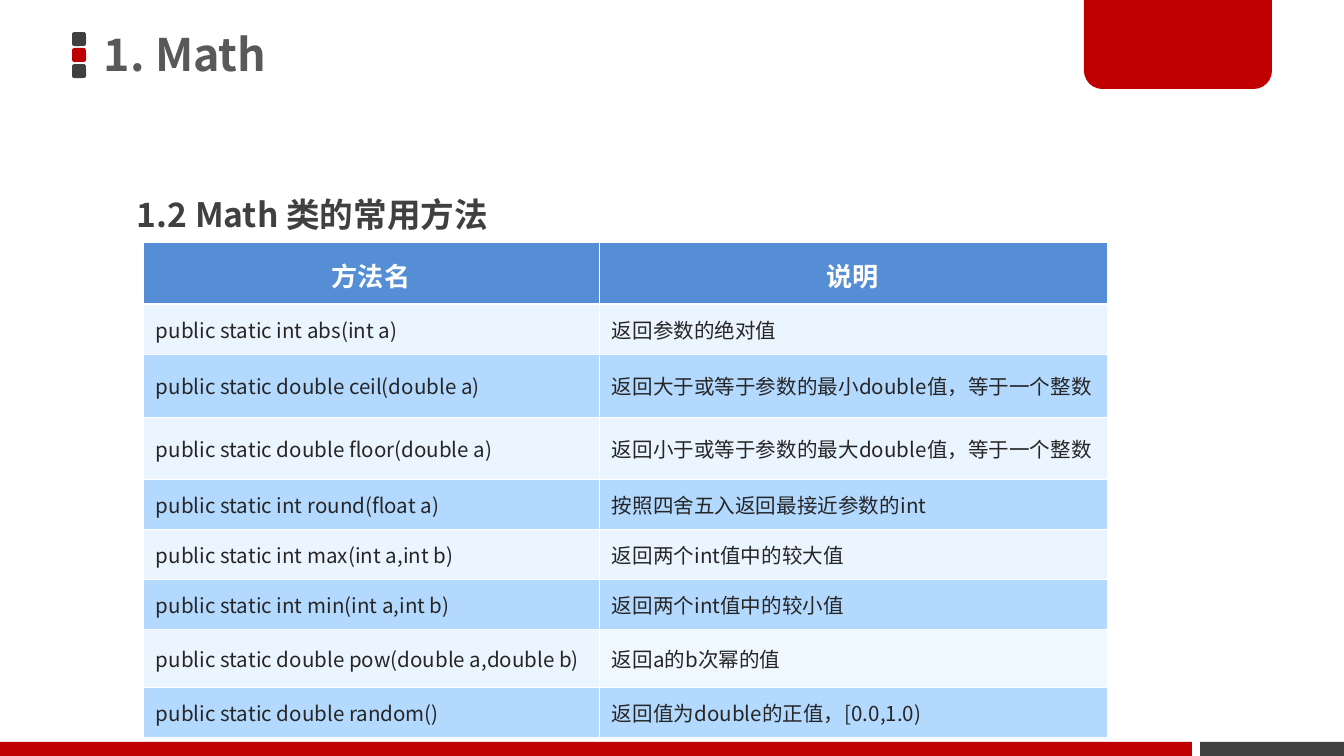
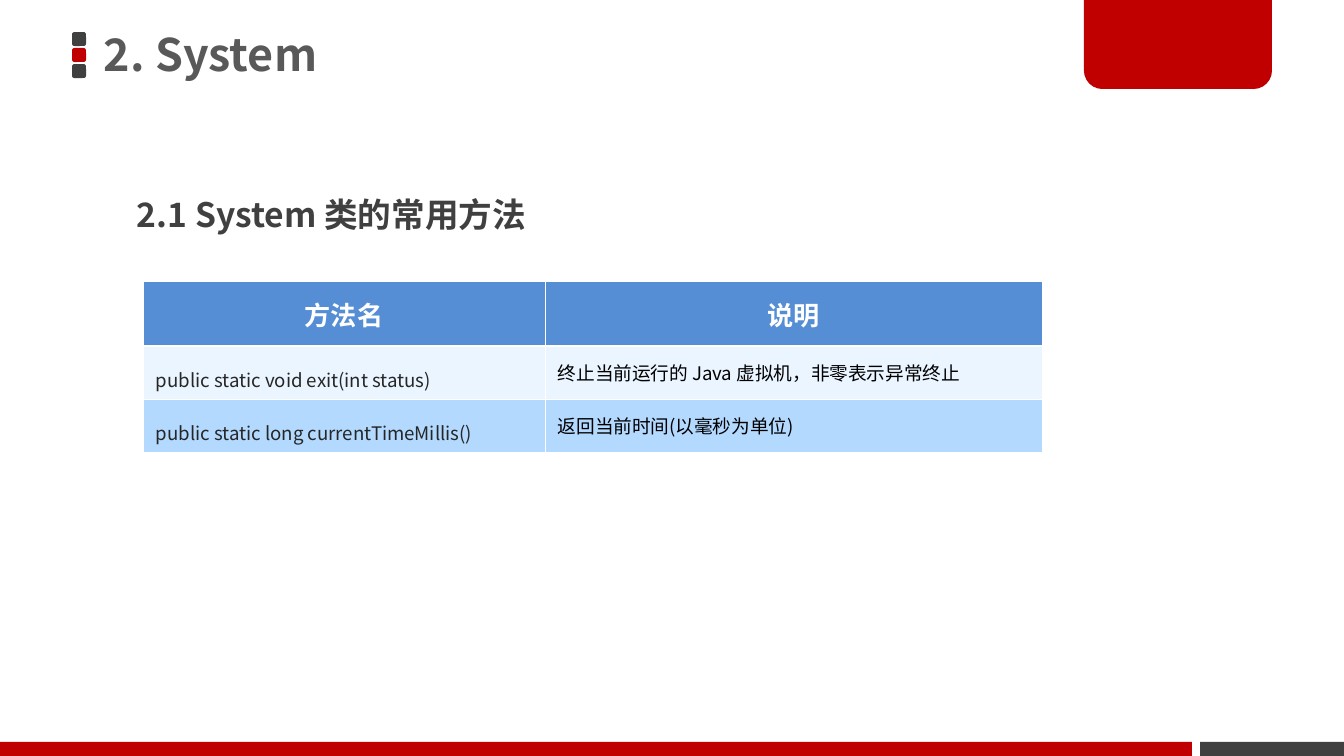
from lxml import etree
from pptx import Presentation
from pptx.dml.color import RGBColor
from pptx.enum.shapes import MSO_SHAPE
from pptx.enum.text import MSO_ANCHOR, MSO_AUTO_SIZE, PP_ALIGN
from pptx.oxml.ns import qn
from pptx.util import Emu, Pt

RECT = MSO_SHAPE.RECTANGLE
ROUNDED = MSO_SHAPE.ROUNDED_RECTANGLE
TAB = MSO_SHAPE.ROUND_2_SAME_RECTANGLE
MIDDLE, TOP = MSO_ANCHOR.MIDDLE, MSO_ANCHOR.TOP
CENTER, LEFT = PP_ALIGN.CENTER, PP_ALIGN.LEFT

FONT = "Noto Sans CJK SC"
RED, DARK, GREY, INK = "C00000", "404040", "595959", "262626"
WHITE, BLACK, HEADER_BLUE = "FFFFFF", "000000", "558ED5"
ROW_FILLS = ("EBF5FF", "B3D9FF")
THIN, THICK = 0.45, 1.47  # cell border widths, pt

# Content
HEADINGS = ("方法名", "说明")
SLIDES = [
    {
        "title": "1. Math",
        "subtitle": "1.2 Math 类的常用方法",
        "top": 242,
        "columns": (456, 508),
        "rows": (62, 50, 63, 63, 50, 50, 50, 58, 50),
        "size": 11,
        "method_spacing": 1.0,
        "description_color": INK,
        "special_fills": {(7, 1): "EFF7FF"},
        "methods": [
            ("public static int abs(int a)", "返回参数的绝对值"),
            ("public static double ceil(double a)",
             "返回大于或等于参数的最小double值，等于一个整数"),
            ("public static double floor(double a)",
             "返回小于或等于参数的最大double值，等于一个整数"),
            ("public static int round(float a)", "按照四舍五入返回最接近参数的int"),
            ("public static int max(int a,int b)", "返回两个int值中的较大值"),
            ("public static int min(int a,int b)", "返回两个int值中的较小值"),
            ("public static double pow(double a,double b)", "返回a的b次幂的值"),
            ("public static double random()", "返回值为double的正值，[0.0,1.0)"),
        ],
    },
    {
        "title": "2. System",
        "subtitle": "2.1 System 类的常用方法",
        "top": 281,
        "columns": (402, 497),
        "rows": (65, 53, 53),
        "size": 10,
        "method_spacing": 1.5,
        "description_color": BLACK,
        "special_fills": {},
        "methods": [
            ("public static void exit(int status)",
             "终止当前运行的 Java 虚拟机，非零表示异常终止"),
            ("public static long currentTimeMillis()", "返回当前时间(以毫秒为单位)"),
        ],
    },
]

# Frame shared by the slides: kind, box, fill, corner adjustments
FRAME = [
    (ROUNDED, (72, 32 + 16 * i, 14, 14), color, (0.17,))
    for i, color in enumerate((DARK, RED, DARK))
] + [
    (RECT, (1200, 742, 144, 14), DARK, ()),
    (TAB, (1084, -3, 188, 92), RED, (0, 0.2)),
    (RECT, (0, 742, 1192, 14), RED, ()),
]
TABLE_LEFT = 143


def px(length):
    return Emu(round(length * 914400 / 134.4))


def rgb(value):
    return RGBColor.from_string(value)


def write(frame, text, size, color, bold=False, spacing=1.0, align=LEFT):
    frame.text = text
    paragraph = frame.paragraphs[0]
    paragraph.alignment = align
    paragraph.line_spacing = spacing
    for run in paragraph.runs:
        font = run.font
        font.name, font.size, font.bold = FONT, Pt(size), bold
        font.color.rgb = rgb(color)
        east_asian = etree.SubElement(font._element, qn("a:ea"))
        east_asian.set("typeface", FONT)


def set_margins(target, across, down):
    target.margin_left = target.margin_right = px(across)
    target.margin_top = target.margin_bottom = px(down)


def add_frame(slide):
    for kind, box, color, corners in FRAME:
        part = slide.shapes.add_shape(kind, *map(px, box))
        part.shadow.inherit = False
        part.fill.solid()
        part.fill.fore_color.rgb = rgb(color)
        part.line.fill.background()
        for i, corner in enumerate(corners):
            part.adjustments[i] = corner


def add_heading(slide, box, margins, anchor, text, size, color, spacing):
    frame = slide.shapes.add_textbox(*map(px, box)).text_frame
    frame.word_wrap = True
    frame.vertical_anchor = anchor
    set_margins(frame, *margins)
    write(frame, text, size, color, True, spacing)
    return frame


def set_borders(cell, top, bottom):
    properties = cell._tc.get_or_add_tcPr()
    widths = {"lnL": THIN, "lnR": THIN, "lnT": top, "lnB": bottom}
    for i, (side, width) in enumerate(widths.items()):
        line = etree.Element(qn(f"a:{side}"), w=str(int(Pt(width))))
        fill = etree.SubElement(line, qn("a:solidFill"))
        etree.SubElement(fill, qn("a:srgbClr"), val=WHITE)
        properties.insert(i, line)


def add_methods(slide, content):
    columns, heights = content["columns"], content["rows"]
    box = (TABLE_LEFT, content["top"], sum(columns), sum(heights))
    table = slide.shapes.add_table(
        len(heights), len(columns), *map(px, box)).table
    for column, width in zip(table.columns, columns):
        column.width = px(width)
    for row, height in zip(table.rows, heights):
        row.height = px(height)

    for r, texts in enumerate([HEADINGS] + content["methods"]):
        for c, text in enumerate(texts):
            cell = table.cell(r, c)
            cell.fill.solid()
            if r == 0:
                fill = HEADER_BLUE
                set_margins(cell, 13, 7)
                write(cell.text_frame, text, 14, WHITE, True, Pt(24), CENTER)
            else:
                fill = content["special_fills"].get((r, c), ROW_FILLS[(r - 1) % 2])
                cell.vertical_anchor = MIDDLE
                set_margins(cell, 13, 1)
                color = content["description_color"] if c else INK
                spacing = 1.0 if c else content["method_spacing"]
                write(cell.text_frame, text, content["size"], color,
                      spacing=spacing)
            cell.fill.fore_color.rgb = rgb(fill)
            set_borders(cell, THICK if r == 1 else THIN, THICK if r == 0 else THIN)


def main():
    deck = Presentation()
    deck.slide_width, deck.slide_height = px(1344), px(756)
    for content in SLIDES:
        slide = deck.slides.add_slide(deck.slide_layouts[6])
        add_frame(slide)
        add_heading(slide, (93, -3, 792, 120), (11, 6), MIDDLE,
                    content["title"], 24, GREY, 0.9)
        subtitle = add_heading(slide, (124, 167, 516, 74), (13, 7), TOP,
                               content["subtitle"], 18, DARK, 1.5)
        subtitle.auto_size = MSO_AUTO_SIZE.SHAPE_TO_FIT_TEXT
        add_methods(slide, content)
    deck.save("out.pptx")


if __name__ == "__main__":
    main()
